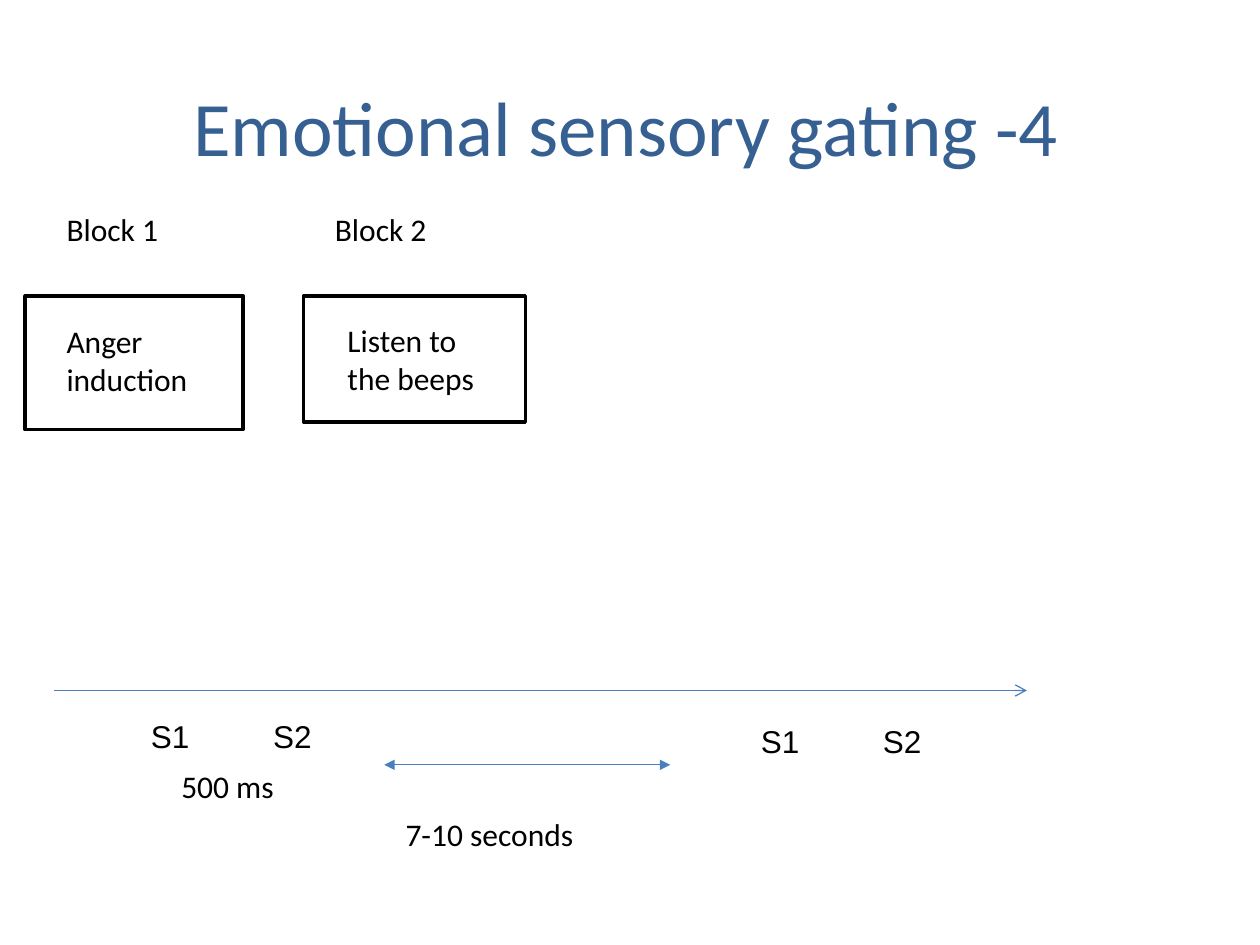
from lxml import etree
from pptx import Presentation
from pptx import util as u
from pptx.dml import color
from pptx.enum import shapes, text
from pptx.oxml import ns

BLUE = "4B7EBC"
BLACK = "000000"


def rgb(code):
    return color.RGBColor.from_string(code)


def place(shape, x, y, w, h):
    shape.left, shape.top = u.Inches(x), u.Inches(y)
    shape.width, shape.height = u.Inches(w), u.Inches(h)


def write(frame, words, size, face, code):
    run = frame.paragraphs[0].add_run()
    run.text = words
    run.font.size = u.Pt(size)
    run.font.name = face
    run.font.color.rgb = rgb(code)


def add_title(slide, words):
    title = slide.shapes.title
    place(title, 0.47, 0.37, 9, 1.25)
    frame = title.text_frame
    frame.vertical_anchor = text.MSO_ANCHOR.MIDDLE
    frame.paragraphs[0].alignment = text.PP_ALIGN.CENTER
    write(frame, words, 44, "Calibri", "376092")


def add_label(slide, words, x, y, w, h=0.4, face="Calibri"):
    box = slide.shapes.add_textbox(*map(u.Inches, (x, y, w, h)))
    box.text_frame.word_wrap = True
    write(box.text_frame, words, 18, face, BLACK)


def add_frame(slide, x, y, w, h):
    rect = slide.shapes.add_shape(
        shapes.MSO_SHAPE.RECTANGLE, *map(u.Inches, (x, y, w, h)))
    rect.shadow.inherit = False
    rect.fill.background()
    rect.line.color.rgb = rgb(BLACK)
    rect.line.width = u.Pt(2)


def add_arrow(slide, start, end, y, **tips):
    line = slide.shapes.add_connector(
        shapes.MSO_CONNECTOR.STRAIGHT, *map(u.Inches, (start, y, end, y)))
    line.line.color.rgb = rgb(BLUE)
    line.line.width = u.Pt(0.75)
    props = line.line._get_or_add_ln()
    for tag, kind in tips.items():
        etree.SubElement(props, ns.qn(f"a:{tag}"), type=kind)
    etree.SubElement(line._element.spPr, ns.qn("a:effectLst"))


def main():
    deck = Presentation()
    deck.slide_width, deck.slide_height = u.Inches(10), u.Inches(7.5)
    slide = deck.slides.add_slide(deck.slide_layouts[5])

    add_title(slide, "Emotional sensory gating -4")

    add_arrow(slide, 0.43, 8.15, 5.48, tailEnd="arrow")
    for left, top in ((1.1, 5.64), (5.94, 5.68)):
        for i, name in enumerate(("S1", "S2")):
            add_label(slide, name, left + i * 0.97, top, 0.67, face="Arial")
    add_label(slide, "500 ms", 1.34, 6.04, 1.71)
    add_arrow(slide, 3.05, 5.32, 6.07, headEnd="triangle", tailEnd="triangle")
    add_label(slide, "7-10 seconds", 3.12, 6.42, 2.12)

    blocks = (
        ("Block 1", 0.43, "Anger induction", 0.43, 2.51, (0.2, 2.35, 1.73, 1.06)),
        ("Block 2", 2.56, "Listen to the beeps", 2.66, 2.5, (2.41, 2.35, 1.76, 1)),
    )
    for head, left, task, x, y, area in blocks:
        add_frame(slide, *area)
        add_label(slide, task, x, y, 1.26, 0.71)
        add_label(slide, head, left, 1.62, 1.5)

    deck.save("out.pptx")


if __name__ == "__main__":
    main()
